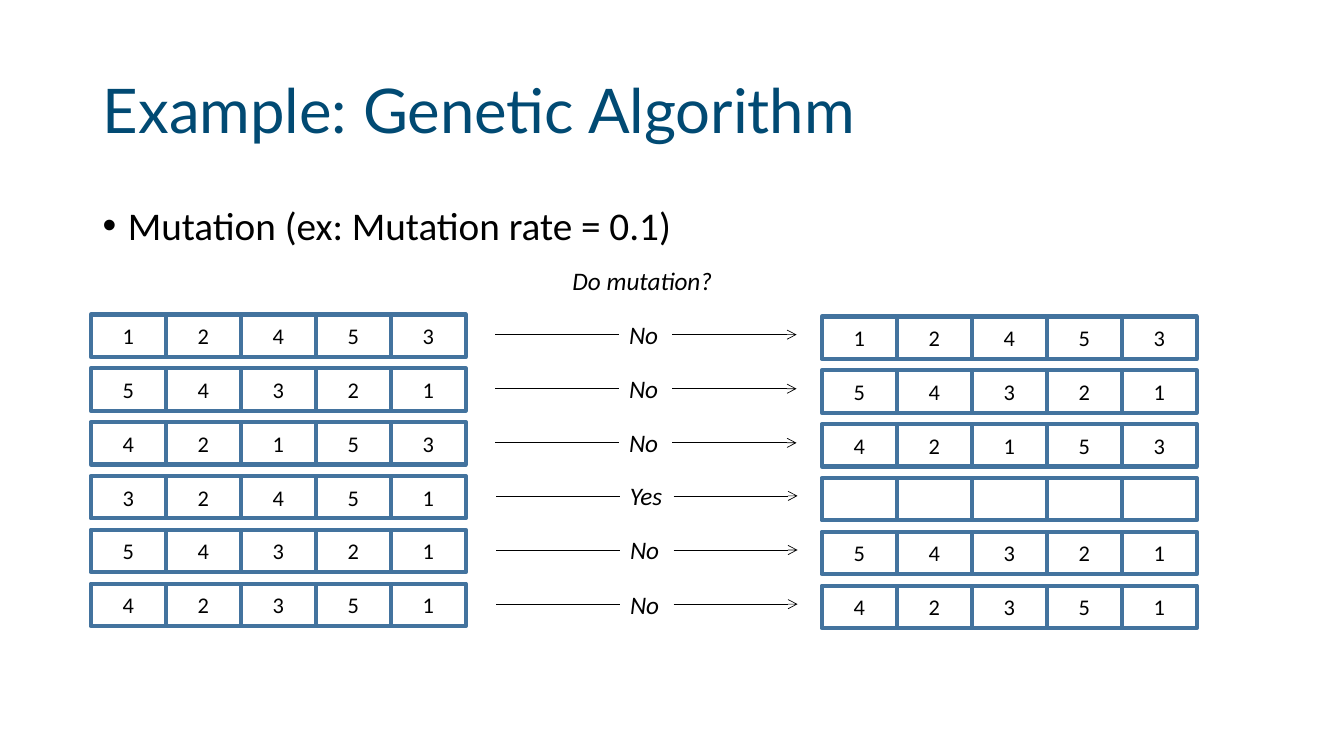
from dataclasses import dataclass

from lxml import etree
from pptx import Presentation, util as u
from pptx.dml.color import RGBColor
from pptx.enum import shapes, text
from pptx.oxml.ns import qn


@dataclass(frozen=True)
class Theme:
    """Colours, fonts and sizes of the slide."""
    navy: RGBColor = RGBColor(0x01, 0x4A, 0x73)
    blue: RGBColor = RGBColor(0x43, 0x73, 0x9E)
    black: RGBColor = RGBColor(0, 0, 0)
    white: RGBColor = RGBColor(255, 255, 255)
    head: str = "Lato"
    body: str = "Calibri"
    big: int = 44
    mid: int = 28
    note: int = 18
    cell: int = 16
    edge: float = 3
    thin: float = 0.5


T = Theme()
GENES = ["12453", "54321", "42153", "32451", "54321", "42351"]
MUTED = [*GENES[:3], " " * 5, *GENES[4:]]


def inch(*nums):
    """Turn numbers into lengths."""
    return [u.Inches(n) for n in nums]


def style(item, form):
    """Set each attribute named in a dict."""
    for key, val in form.items():
        setattr(item, key, val)


def write(frame, words, size, color=T.black, face=T.body, slant=None, para=None):
    """Put one formatted paragraph in a text frame."""
    line = frame.paragraphs[0]
    style(line, para or {})
    run = line.add_run()
    run.text = words
    style(run.font, {"size": u.Pt(size), "name": face, "italic": slant})
    run.font.color.rgb = color
    return line


def title(slide, box, words):
    """Place and fill the title."""
    head = slide.shapes.title
    style(head, dict(zip(("left", "top", "width", "height"), inch(*box))))
    style(head.text_frame, {"vertical_anchor": text.MSO_ANCHOR.MIDDLE,
                            "word_wrap": True})
    write(head.text_frame, words, T.big, T.navy, T.head,
          para={"alignment": text.PP_ALIGN.LEFT, "line_spacing": 0.9})


def bullet(slide, box, words):
    """Place the bulleted line."""
    frame = slide.shapes.add_textbox(*inch(*box)).text_frame
    frame.word_wrap = True
    line = write(frame, words, T.mid,
                 para={"line_spacing": 0.9, "space_before": u.Pt(10)})
    props = line._p.get_or_add_pPr()
    props.set("marL", str(u.Inches(0.25)))
    props.set("indent", str(u.Inches(-0.25)))
    etree.SubElement(props, qn("a:buFont")).set("typeface", "Arial")
    etree.SubElement(props, qn("a:buChar")).set("char", "•")


def label(slide, box, words):
    """Place an italic label."""
    note = slide.shapes.add_textbox(*inch(*box))
    style(note.text_frame, {"word_wrap": False,
                            "auto_size": text.MSO_AUTO_SIZE.SHAPE_TO_FIT_TEXT})
    write(note.text_frame, words, T.note, slant=True)
    return note


def grid(slide, box, rows):
    """Draw a group of gene rows, one cell for each gene."""
    left, top, width, height = box
    wide, tall = width / len(rows[0]), 0.42
    step = (height - tall) / (len(rows) - 1)
    group = slide.shapes.add_group_shape()
    for i, row in enumerate(rows):
        for j, gene in enumerate(row):
            cell = group.shapes.add_shape(
                shapes.MSO_SHAPE.RECTANGLE,
                *inch(left + j * wide, top + i * step, wide, tall))
            cell.shadow.inherit = False
            cell.fill.solid()
            cell.fill.fore_color.rgb = T.white
            cell.line.color.rgb = T.blue
            cell.line.width = u.Pt(T.edge)
            if gene.strip():
                cell.text_frame.vertical_anchor = text.MSO_ANCHOR.MIDDLE
                write(cell.text_frame, gene, T.cell,
                      para={"alignment": text.PP_ALIGN.CENTER})


def wire(slide, start, end, y, arrow=False):
    """Draw a thin level line, with or without an arrowhead."""
    line = slide.shapes.add_connector(
        shapes.MSO_CONNECTOR.STRAIGHT, *inch(start, y, end, y))
    line.line.color.rgb = T.black
    line.line.width = u.Pt(T.thin)
    props = line._element.spPr
    if arrow:
        etree.SubElement(props.find(qn("a:ln")), qn("a:tailEnd")).set("type", "arrow")
    etree.SubElement(props, qn("a:effectLst"))
    return line


def picks(slide, box, words):
    """Draw answers, each between a line and an arrow."""
    left, top, width, height = box
    step, tall, side = height / len(words), 0.4, 1.23
    for i, word in enumerate(words):
        y = top + i * step
        wide = 0.53 if word == "Yes" else 0.49
        note = label(slide, (left + side, y, wide, tall), word)
        mid = y + tall / 2
        wire(slide, left, left + side, mid).end_connect(note, 1)
        wire(slide, left + width - side, left + width, mid, True)


def main():
    """Build and save the slide."""
    deck = Presentation()
    style(deck, {"slide_width": u.Inches(13.33), "slide_height": u.Inches(7.5)})
    slide = deck.slides.add_slide(deck.slide_layouts[5])
    title(slide, (0.92, 0.4, 11.5, 1.45), "Example: Genetic Algorithm")
    bullet(slide, (0.92, 2, 11.5, 4.76), "Mutation (ex: Mutation rate = 0.1)")
    grid(slide, (0.9, 3.12, 3.72, 3.09), GENES)
    label(slide, (5.58, 2.58, 1.6, 0.4), "Do mutation?")
    picks(slide, (4.91, 3.12, 2.99, 1.61), ["No", "No", "No"])
    picks(slide, (4.92, 4.72, 2.99, 1.61), ["Yes", "No", "No"])
    grid(slide, (8.15, 3.14, 3.72, 3.09), MUTED)
    deck.save("out.pptx")


if __name__ == "__main__":
    main()
